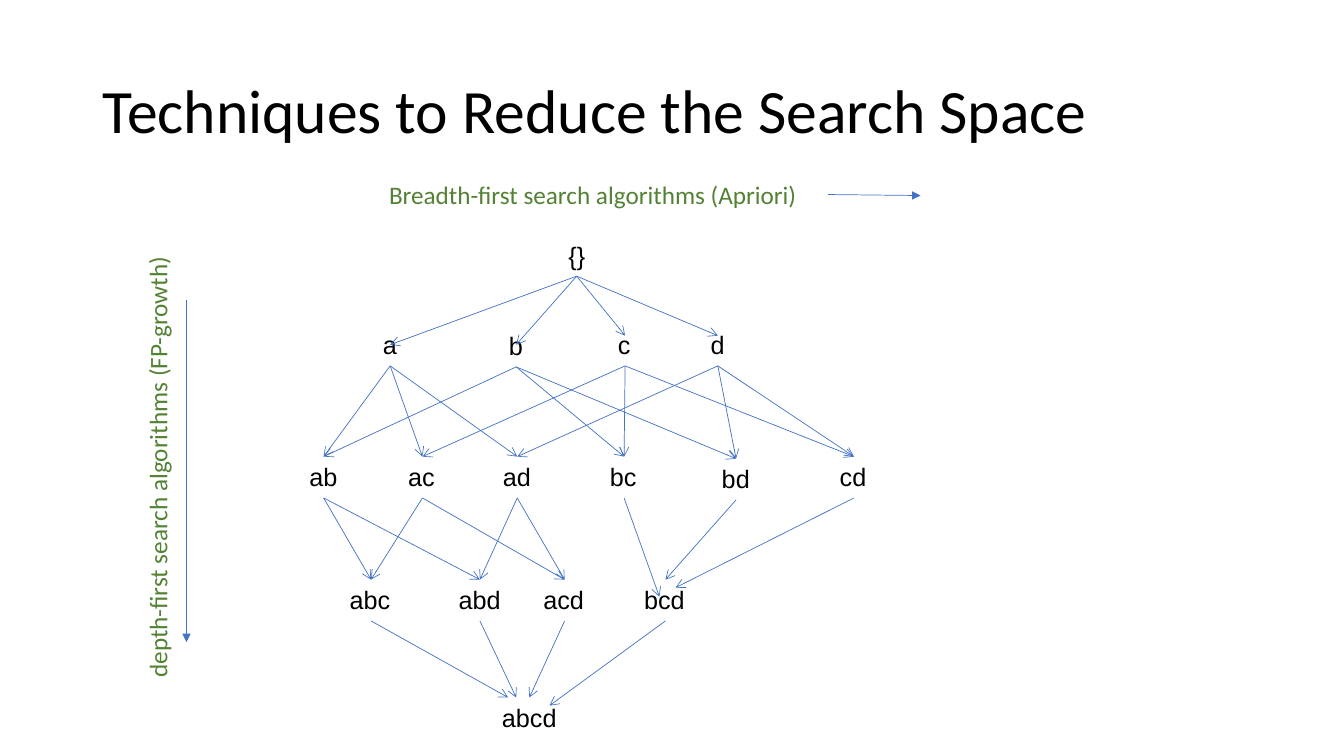
from lxml import etree
from pptx import Presentation
from pptx.dml.color import RGBColor
from pptx.enum.shapes import MSO_CONNECTOR
from pptx.enum.text import MSO_ANCHOR, MSO_AUTO_SIZE
from pptx.oxml.ns import qn
from pptx.util import Pt

STRAIGHT = MSO_CONNECTOR.STRAIGHT
TOP, MIDDLE = MSO_ANCHOR.TOP, MSO_ANCHOR.MIDDLE
GROW, FIXED = MSO_AUTO_SIZE.SHAPE_TO_FIT_TEXT, MSO_AUTO_SIZE.NONE
SCALE = 9144
HIGH = 41

WIDTHS = [34, 48, 62, 75]
NODES = {
    "{}": (572, 233),
    "a": (387, 322), "b": (512, 323), "c": (620, 322), "d": (712, 322),
    "ab": (321, 453), "ac": (419, 453), "ad": (513, 453),
    "bc": (619, 453), "bd": (730, 455), "cd": (847, 453),
    "abc": (368, 575), "abd": (476, 575), "acd": (560, 575), "bcd": (660, 575),
    "abcd": (525, 692),
}
LINKS = {
    "{}": "a b c d",
    "a": "ab ac ad", "b": "ab bc bd", "c": "ac bc cd", "d": "ad bd cd",
    "ab": "abc abd", "ac": "abc acd", "ad": "abd acd",
    "bc": "bcd", "bd": "bcd", "cd": "bcd",
    "abc": "abcd", "abd": "abcd", "acd": "abcd", "bcd": "abcd",
}
SHIFTS = {
    ("{}", "a"): (0, 20), ("{}", "b"): (0, 19),
    ("{}", "c"): (0, 11), ("{}", "d"): (0, 11),
    ("bc", "bcd"): (-6, 17), ("cd", "bcd"): (10, 8),
    ("abc", "abcd"): (-21, 0), ("abd", "abcd"): (-13, 0), ("bcd", "abcd"): (20, 8),
}


def px(size):
    return size * SCALE


def paint(code):
    return RGBColor.from_string(code)


class Board:
    """Draws styled text and arrows on one slide."""

    def __init__(self, slide):
        self.slide = slide
        self.blue = paint("4472C4")
        self.label = {"name": "Arial", "size": Pt(18), "color": "000000"}
        self.note = {"name": "Calibri", "size": Pt(18), "color": "548235"}
        self.head = {"name": "Calibri", "size": Pt(44), "color": "000000"}

    def text(self, words, box, style, turn=0):
        shape = self.slide.shapes.add_textbox(*map(px, box))
        shape.rotation = turn
        title = style is self.head
        frame = {"word_wrap": title, "auto_size": FIXED if title else GROW,
                 "vertical_anchor": MIDDLE if title else TOP}
        for key, value in frame.items():
            setattr(shape.text_frame, key, value)
        line = shape.text_frame.paragraphs[0]
        line.line_spacing = 0.9 if title else 1.0
        run = line.add_run()
        run.text = words
        for key, value in style.items():
            if key == "color":
                run.font.color.rgb = paint(value)
            else:
                setattr(run.font, key, value)

    def arrow(self, start, end, tip="arrow"):
        link = self.slide.shapes.add_connector(STRAIGHT, *map(px, (*start, *end)))
        link.line.width = Pt(0.5)
        link.line.color.rgb = self.blue
        props = link._element.spPr
        etree.SubElement(props.find(qn("a:ln")), qn("a:tailEnd"), type=tip)
        etree.SubElement(props, qn("a:effectLst"))

    def node(self, name):
        mid, top = NODES[name]
        wide = 37 if name == "{}" else WIDTHS[len(name) - 1]
        self.text(name, (mid - wide // 2, top, wide, HIGH), self.label)

    def link(self, start, end):
        mid, top = NODES[start]
        x, y = NODES[end]
        right, down = SHIFTS.get((start, end), (0, 0))
        self.arrow((mid, top + HIGH), (x + right, y + down))


def main():
    deck = Presentation()
    deck.slide_width, deck.slide_height = px(1333), px(750)
    board = Board(deck.slides.add_slide(deck.slide_layouts[6]))

    board.text("Techniques to Reduce the Search Space", (92, 40, 1150, 145), board.head)
    for name in NODES:
        board.node(name)
    for start, ends in LINKS.items():
        for end in ends.split():
            board.link(start, end)

    board.text("Breadth-first search algorithms (Apriori)", (376, 173, 429, 40), board.note)
    board.arrow((821, 193), (913, 194), "triangle")
    board.text("depth-first search algorithms (FP-growth)", (-73, 433, 458, 40), board.note, 270)
    board.arrow((185, 298), (185, 637), "triangle")
    deck.save("out.pptx")


if __name__ == "__main__":
    main()
